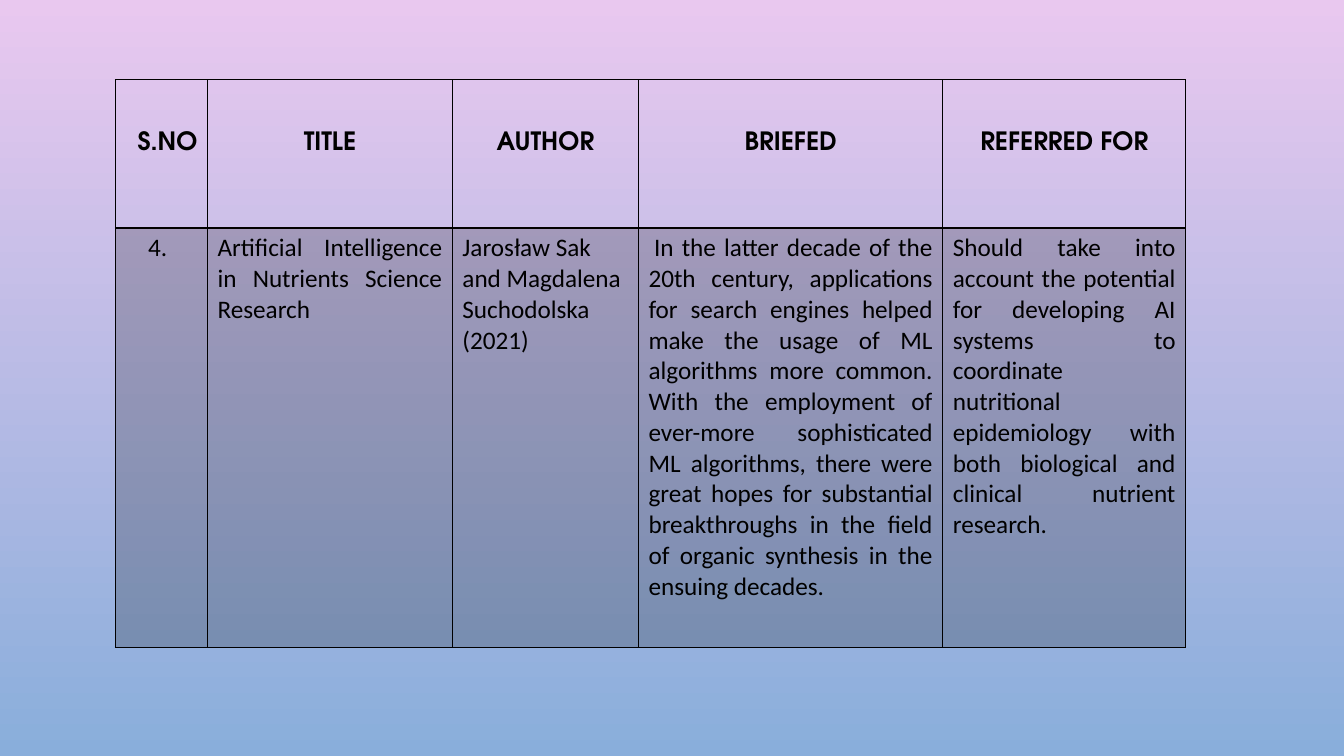
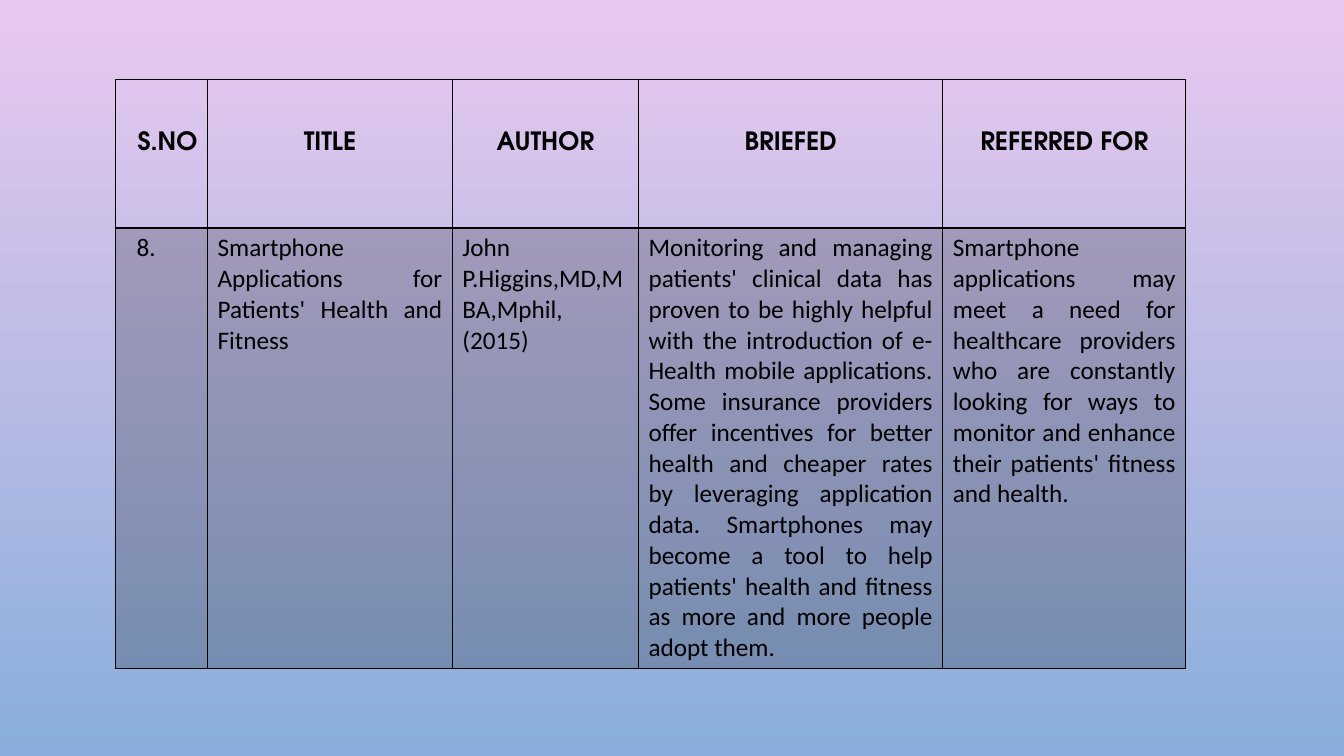
from dataclasses import dataclass

import lxml.etree
import pptx
import pptx.dml.color
import pptx.enum.text
import pptx.oxml.ns
import pptx.util

Cm = pptx.util.Cm
Pt = pptx.util.Pt
Align = pptx.enum.text.PP_ALIGN
qn = pptx.oxml.ns.qn

PINK = pptx.dml.color.RGBColor(0xE9, 0xC8, 0xEF)
BLUE = pptx.dml.color.RGBColor(0x89, 0xAE, 0xDB)
BLACK = pptx.dml.color.RGBColor(0, 0, 0)

HEADER_FONT = "TeX Gyre Adventor"
BODY_FONT = "Calibri"
TEXT_SIZE = Pt(18)
BODY_OPACITY = 20
TABLE_LEFT, TABLE_TOP = Cm(2.91), Cm(2.01)
COLUMN_WIDTHS = [Cm(2.32), Cm(6.17), Cm(4.69), Cm(7.67), Cm(6.12)]
ROW_HEIGHTS = [Cm(3.73), Cm(10.57)]
HEADER_BORDERS = {"lnL": 1, "lnR": 1, "lnT": 1, "lnB": 2}
BODY_BORDERS = {"lnL": 1, "lnR": 1, "lnT": 1, "lnB": 1}


@dataclass(frozen=True)
class CellText:
    lines: tuple[str, ...]
    alignment: Align = Align.JUSTIFY
    first_indent: pptx.util.Length = Cm(0)


HEADERS = [
    CellText(("S.NO",), Align.RIGHT),
    *(CellText((name,), Align.CENTER) for name in ("TITLE", "AUTHOR", "BRIEFED", "REFERRED FOR")),
]

REVIEWS = [
    [
        CellText(("4.",), Align.LEFT, Cm(0.57)),
        CellText(("Artificial Intelligence in Nutrients Science Research",)),
        CellText(("Jarosław Sak and Magdalena Suchodolska", "(2021)"), Align.LEFT),
        CellText(
            (
                "In the latter decade of the 20th century, applications for search engines "
                "helped make the usage of ML algorithms more common. With the employment of "
                "ever-more sophisticated ML algorithms, there were great hopes for substantial "
                "breakthroughs in the field of organic synthesis in the ensuing decades.",
            ),
            first_indent=Cm(0.14),
        ),
        CellText(
            (
                "Should take into account the potential for developing AI systems to coordinate "
                "nutritional epidemiology with both biological and clinical nutrient research.",
            )
        ),
    ],
    [
        CellText(("8.",), Align.LEFT, Cm(0.28)),
        CellText(("Smartphone Applications for Patients' Health and Fitness",)),
        CellText(("John P.Higgins,MD,MBA,Mphil,", "(2015)")),
        CellText(
            (
                "Monitoring and managing patients' clinical data has proven to be highly helpful "
                "with the introduction of e-Health mobile applications. Some insurance providers "
                "offer incentives for better health and cheaper rates by leveraging application "
                "data. Smartphones may become a tool to help patients' health and fitness as more "
                "and more people adopt them.",
            )
        ),
        CellText(
            (
                "Smartphone applications may meet a need for healthcare providers who are "
                "constantly looking for ways to monitor and enhance their patients' fitness and "
                "health.",
            )
        ),
    ],
]


def set_background(master: pptx.slide.SlideMaster) -> None:
    fill = master.background.fill
    fill.gradient()
    fill.gradient_angle = 270
    for stop, color, position in zip(fill.gradient_stops, (PINK, BLUE), (0, 1)):
        stop.color.rgb = color
        stop.position = position


def set_borders(cell: pptx.table._Cell, borders: dict[str, int]) -> None:
    properties = cell._tc.get_or_add_tcPr()
    for side, points in borders.items():
        line = lxml.etree.SubElement(properties, qn(f"a:{side}"), w=str(Pt(points)))
        solid = lxml.etree.SubElement(line, qn("a:solidFill"))
        lxml.etree.SubElement(solid, qn("a:srgbClr"), val=str(BLACK))


def write_cell(cell: pptx.table._Cell, content: CellText, is_header: bool) -> None:
    cell.text = "\n".join(content.lines)
    for paragraph in cell.text_frame.paragraphs:
        paragraph.alignment = content.alignment
        if content.first_indent:
            paragraph._p.get_or_add_pPr().set("indent", str(content.first_indent))
        if is_header:
            paragraph.line_spacing = 3.0
        font = paragraph.font
        font.name = HEADER_FONT if is_header else BODY_FONT
        font.size = TEXT_SIZE
        font.bold = is_header
        font.color.rgb = BLACK
    set_borders(cell, HEADER_BORDERS if is_header else BODY_BORDERS)
    if is_header:
        cell.fill.background()
    else:
        cell.fill.solid()
        cell.fill.fore_color.rgb = BLACK
        color = cell._tc.tcPr.find(f"{qn('a:solidFill')}/{qn('a:srgbClr')}")
        lxml.etree.SubElement(color, qn("a:alpha"), val=str(BODY_OPACITY * 1000))


def add_review_slide(presentation: pptx.presentation.Presentation, review: list[CellText]) -> None:
    slide = presentation.slides.add_slide(presentation.slide_layouts[6])
    table = slide.shapes.add_table(
        len(ROW_HEIGHTS), len(COLUMN_WIDTHS), TABLE_LEFT, TABLE_TOP,
        sum(COLUMN_WIDTHS), sum(ROW_HEIGHTS),
    ).table
    table.first_row = False
    table.horz_banding = False
    for column, width in zip(table.columns, COLUMN_WIDTHS):
        column.width = width
    for row, height in zip(table.rows, ROW_HEIGHTS):
        row.height = height
    for row_index, contents in enumerate((HEADERS, review)):
        for column_index, content in enumerate(contents):
            write_cell(table.cell(row_index, column_index), content, row_index == 0)


def main() -> None:
    presentation = pptx.Presentation()
    presentation.slide_width = Cm(33.87)
    presentation.slide_height = Cm(19.05)
    set_background(presentation.slide_master)
    for review in REVIEWS:
        add_review_slide(presentation, review)
    presentation.save("out.pptx")


if __name__ == "__main__":
    main()
